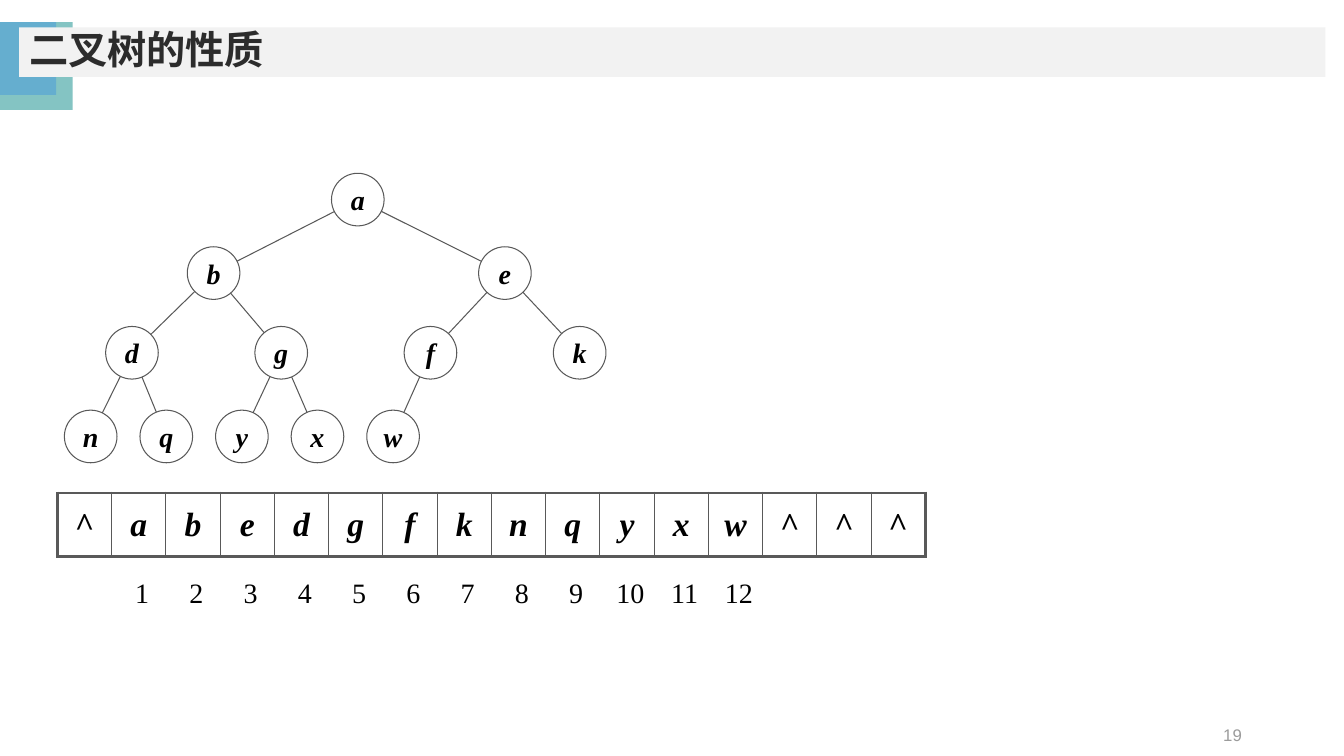
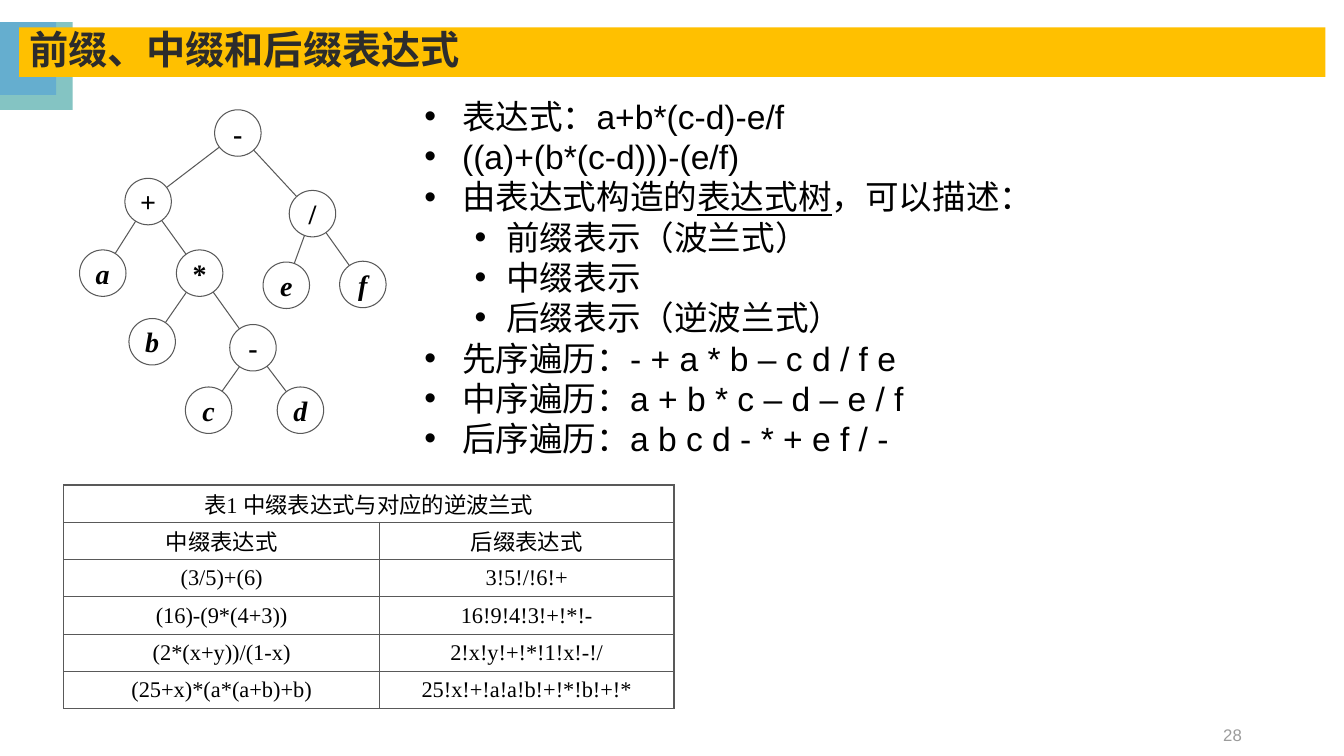
from math import hypot

from lxml.etree import SubElement
from pptx import Presentation
from pptx.dml.color import RGBColor
from pptx.enum.shapes import MSO_CONNECTOR as Connector, MSO_SHAPE as Shape
from pptx.enum.text import MSO_ANCHOR as Anchor, PP_ALIGN as Align
from pptx.oxml import parse_xml
from pptx.oxml.ns import nsdecls, qn
from pptx.util import Pt

INK, LINE, WHITE = "000000", "595959", "FFFFFF"
TITLE_INK, NUMBER_INK = "2C2C2C", "9B9B9B"
SANS, SERIF = "Arial", "Times New Roman"
CORNER_BLOCKS = [("84C4C3", 52, 62.8), ("65AECF", 40.2, 52)]
CORNER_TOP = 15.8
TITLE_BAND = (13.7, 19.6, 933, 35.3)
NUMBER_BOX = (678.2, 510.5, 216, 28.8)

HEAP_TITLE = ("二叉树的性质", "F2F2F2", "19")
HEAP = "abedgfknqyxw"
HEAP_LEVELS = [(255.6, 0, 142.6), (152.6, 208.1, 195.1),
               (94.3, 106.6, 252), (64.8, 54, 311.8)]
HEAP_DIAMETER = 37.6
ARRAY = "^" + HEAP + "^^^"
ARRAY_LEFT, ARRAY_TOP, ARRAY_PITCH, ARRAY_HEIGHT = 41, 352.1, 38.75, 45.4
INDEX_TOP, INDEX_HEIGHT, INDEX_SHIFT = 409, 28, 2.5

EXPRESSION_TITLE = ("前缀、中缀和后缀表达式", "FFC000", "28")
EXPRESSION_NODES = [
    ("-", 169.9, 95, None),
    ("+", 105.8, 144, 0),
    ("a", 73.4, 195.1, 1),
    ("*", 142.6, 195.1, 1),
    ("b", 108.7, 244.1, 3),
    ("-", 180.7, 248.4, 3),
    ("c", 149, 293, 5),
    ("d", 214.6, 293, 5),
    ("/", 223.2, 152.6, 0),
    ("e", 204.5, 203.8, 8),
    ("f", 259.2, 203.2, 8),
]
EXPRESSION_DIAMETER = 33.2
BULLET_BOX = (296, 64.8, 471.6, 266.4)
BULLET_INDENTS = [(27, -27), (58.5, -22.5)]
BULLETS = [
    (0, ["表达式：a+b*(c-d)-e/f"]),
    (0, ["((a)+(b*(c-d)))-(e/f)"]),
    (0, ["由表达式构造的", "表达式树", "，可以描述："]),
    (1, ["前缀表示（波兰式）"]),
    (1, ["中缀表示"]),
    (1, ["后缀表示（逆波兰式）"]),
    (0, ["先序遍历：- + a * b – c d / f e"]),
    (0, ["中序遍历：a + b * c – d – e / f"]),
    (0, ["后序遍历：a b c d - * + e f / -"]),
]
UNDERLINED = "表达式树"
NOTATION_CAPTION = "表1 中缀表达式与对应的逆波兰式"
NOTATION_ROWS = [
    ("中缀表达式", "后缀表达式"),
    ("(3/5)+(6)", "3!5!/!6!+"),
    ("(16)-(9*(4+3))", "16!9!4!3!+!*!-"),
    ("(2*(x+y))/(1-x)", "2!x!y!+!*!1!x!-!/"),
    ("(25+x)*(a*(a+b)+b)", "25!x!+!a!a!b!+!*!b!+!*"),
]
NOTATION_LEFT, NOTATION_TOP, NOTATION_ROW = 45.6, 346.4, 26.65
NOTATION_COLUMNS = [225.4, 210.4]


def color(value):
    """Turn a hex string into a colour."""
    return RGBColor.from_string(value)


def place(*lengths):
    """Turn numbers into point lengths."""
    return [Pt(length) for length in lengths]


def add_span(para, text, size, font, ink=INK, bold=False, italic=False):
    """Add one formatted run to a paragraph."""
    span = para.add_run()
    span.text = text
    span.font.size, span.font.name = Pt(size), font
    span.font.bold, span.font.italic = bold, italic
    span.font.color.rgb = color(ink)
    return span


def add_block(shapes, kind, bounds, fill=None, line=None):
    """Add a flat preset shape."""
    block = shapes.add_shape(kind, *place(*bounds))
    block.shadow.inherit = False
    if fill:
        block.fill.solid()
        block.fill.fore_color.rgb = color(fill)
    else:
        block.fill.background()
    if line:
        block.line.color.rgb = color(line)
        block.line.width = Pt(0.75)
    else:
        block.line.fill.background()
    return block


def add_text_box(page, bounds, anchor):
    """Add a wrapping text box and return its frame."""
    frame = page.shapes.add_textbox(*place(*bounds)).text_frame
    frame.word_wrap = True
    frame.vertical_anchor = anchor
    return frame


def add_page(deck, title, band, number):
    """Add a page with the shared corner, title band and number."""
    page = deck.slides.add_slide(deck.slide_layouts[6])
    for fill, width, height in CORNER_BLOCKS:
        add_block(page.shapes, Shape.RECTANGLE, (0, CORNER_TOP, width, height), fill)
    frame = add_block(page.shapes, Shape.RECTANGLE, TITLE_BAND, band).text_frame
    frame.vertical_anchor = Anchor.MIDDLE
    para = frame.paragraphs[0]
    para.alignment, para.line_spacing = Align.LEFT, 0.9
    add_span(para, title, 28, SANS, TITLE_INK, bold=True)
    para = add_text_box(page, NUMBER_BOX, Anchor.MIDDLE).paragraphs[0]
    para.alignment = Align.RIGHT
    add_span(para, number, 12, SANS, NUMBER_INK)
    return page


def add_edge(shapes, start, end, radius):
    """Join the rims of two circles along the line of their centres."""
    (x1, y1), (x2, y2) = start, end
    trim = radius / hypot(x2 - x1, y2 - y1)
    dx, dy = (x2 - x1) * trim, (y2 - y1) * trim
    edge = shapes.add_connector(
        Connector.STRAIGHT, *place(x1 + dx, y1 + dy, x2 - dx, y2 - dy))
    edge.line.color.rgb = color(LINE)
    edge.line.width = Pt(0.75)
    SubElement(edge.element.spPr, qn("a:effectLst"))


def add_tree(page, nodes, diameter):
    """Draw a grouped tree from (label, x, y, parent index) nodes."""
    shapes = page.shapes.add_group_shape().shapes
    radius = diameter / 2
    for label, x, y, parent in nodes:
        if parent is not None:
            add_edge(shapes, nodes[parent][1:3], (x, y), radius)
        circle = add_block(shapes, Shape.OVAL,
                           (x - radius, y - radius, diameter, diameter), line=LINE)
        frame = circle.text_frame
        frame.word_wrap = False
        frame.vertical_anchor = Anchor.MIDDLE
        para = frame.paragraphs[0]
        para.alignment = Align.CENTER
        add_span(para, label, 20, SERIF, bold=True, italic=label.isalpha())


def heap_nodes():
    """Place the heap letters level by level."""
    nodes = []
    for index, letter in enumerate(HEAP, 1):
        level = index.bit_length() - 1
        left, step, y = HEAP_LEVELS[level]
        parent = index // 2 - 1 if index > 1 else None
        nodes.append((letter, left + step * (index - 2 ** level), y, parent))
    return nodes


def add_grid(page, left, top, widths, heights):
    """Add a plain table with the given columns and rows."""
    grid = page.shapes.add_table(
        len(heights), len(widths),
        *place(left, top, sum(widths), sum(heights))).table
    grid.first_row = grid.horz_banding = False
    for column, width in zip(grid.columns, widths):
        column.width = Pt(width)
    for row, height in zip(grid.rows, heights):
        row.height = Pt(height)
    return grid


def style_cell(cell, borders, fill=None):
    """Set a cell's fill, anchor and left, right, top, bottom borders."""
    cell.vertical_anchor = Anchor.MIDDLE
    if fill:
        cell.fill.solid()
        cell.fill.fore_color.rgb = color(fill)
    else:
        cell.fill.background()
    properties = cell._tc.get_or_add_tcPr()
    for place_in_order, (side, width) in enumerate(zip("LRTB", borders)):
        properties.insert(place_in_order, parse_xml(
            f'<a:ln{side} {nsdecls("a")} w="{Pt(width)}"><a:solidFill>'
            f'<a:srgbClr val="{LINE}"/></a:solidFill></a:ln{side}>'))


def add_array(page):
    """Add the heap array and the index numbers beneath it."""
    count = len(ARRAY)
    grid = add_grid(page, ARRAY_LEFT, ARRAY_TOP, [ARRAY_PITCH] * count, [ARRAY_HEIGHT])
    for index, letter in enumerate(ARRAY):
        cell = grid.cell(0, index)
        left = 2.25 if index == 0 else 1
        right = 2.25 if index == count - 1 else 1
        style_cell(cell, (left, right, 2.25, 2.25))
        para = cell.text_frame.paragraphs[0]
        para.alignment, para.space_before = Align.CENTER, Pt(4.8)
        add_span(para, letter, 24, SERIF, bold=True, italic=letter.isalpha())
    bounds = (ARRAY_LEFT, INDEX_TOP, ARRAY_PITCH * count, INDEX_HEIGHT)
    frame = add_text_box(page, bounds, Anchor.MIDDLE)
    frame.margin_left = frame.margin_right = 0
    para = frame.paragraphs[0]
    stops = SubElement(para._p.get_or_add_pPr(), qn("a:tabLst"))
    for index in range(1, len(HEAP) + 1):
        stop = Pt(ARRAY_PITCH * (index + 0.5) + INDEX_SHIFT)
        SubElement(stops, qn("a:tab"), pos=str(stop), algn="ctr")
        add_span(para, f"\t{index}", 20, SERIF)


def add_bullets(page):
    """Add the bulleted notes on the expression."""
    frame = add_text_box(page, BULLET_BOX, Anchor.TOP)
    for number, (level, texts) in enumerate(BULLETS):
        para = frame.add_paragraph() if number else frame.paragraphs[0]
        para.level = level
        properties = para._p.get_or_add_pPr()
        for name, length in zip(("marL", "indent"), BULLET_INDENTS[level]):
            properties.set(name, str(Pt(length)))
        SubElement(properties, qn("a:buFont"), typeface=SANS)
        SubElement(properties, qn("a:buChar"), char="•")
        for text in texts:
            add_span(para, text, 24, SANS).font.underline = text == UNDERLINED


def add_notation_table(page):
    """Add the table of infix and postfix expressions."""
    rows = [(NOTATION_CAPTION, "")] + NOTATION_ROWS
    grid = add_grid(page, NOTATION_LEFT, NOTATION_TOP, NOTATION_COLUMNS,
                    [NOTATION_ROW] * len(rows))
    grid.cell(0, 0).merge(grid.cell(0, 1))
    for row, texts in enumerate(rows):
        for column, text in enumerate(texts):
            cell = grid.cell(row, column)
            style_cell(cell, (1, 1, 1, 1), WHITE)
            cell.margin_left = cell.margin_right = Pt(5)
            cell.margin_top = cell.margin_bottom = 0
            if text:
                para = cell.text_frame.paragraphs[0]
                para.alignment = Align.CENTER
                add_span(para, text, 16, SERIF)


def main():
    """Build and save the deck."""
    deck = Presentation()
    deck.slide_width, deck.slide_height = place(960, 540)

    page = add_page(deck, *HEAP_TITLE)
    add_tree(page, heap_nodes(), HEAP_DIAMETER)
    add_array(page)

    page = add_page(deck, *EXPRESSION_TITLE)
    add_tree(page, EXPRESSION_NODES, EXPRESSION_DIAMETER)
    add_bullets(page)
    add_notation_table(page)

    deck.save("out.pptx")


if __name__ == "__main__":
    main()
